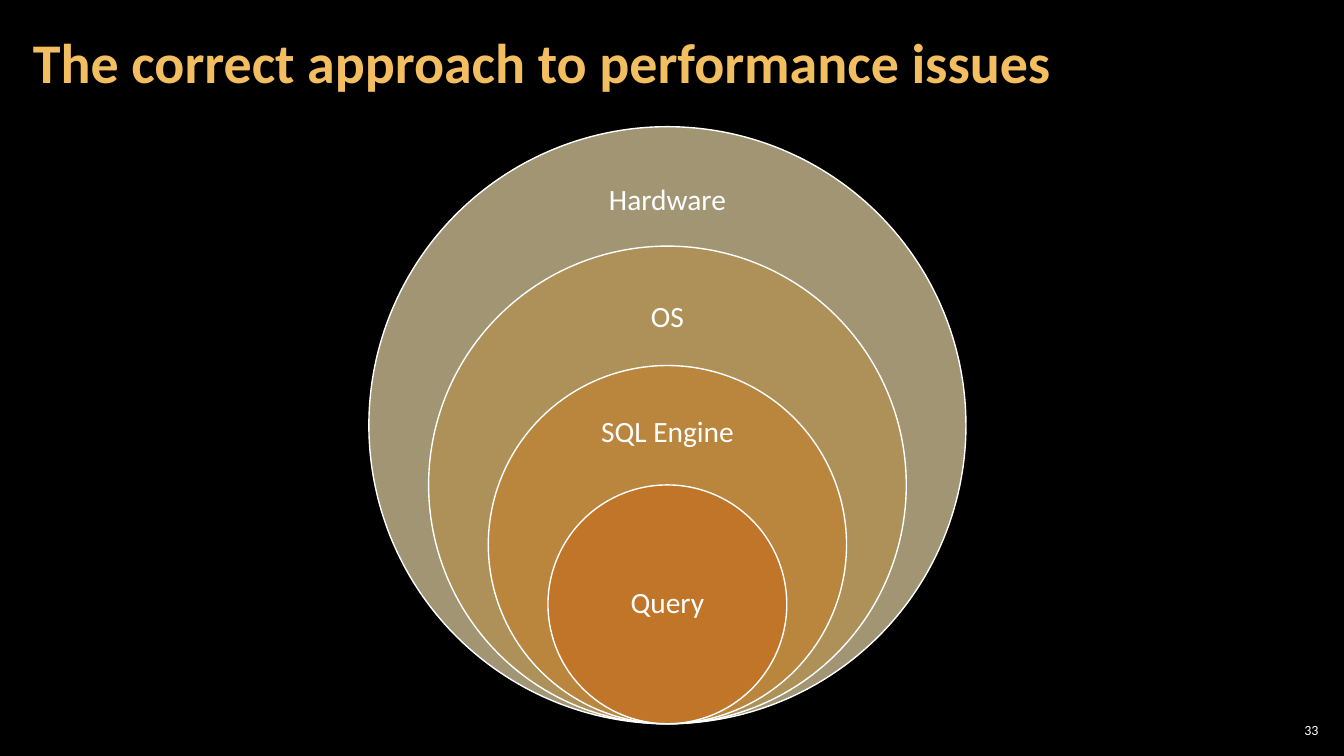
from pptx import Presentation
from pptx.dml.color import RGBColor
from pptx.enum.shapes import MSO_SHAPE as Shape
from pptx.enum.text import MSO_ANCHOR as Anchor, PP_ALIGN as Align
from pptx.util import Pt

COLORS = {
    "background": "000000",
    "title": "F3BE60",
    "white": "FFFFFF",
    "hardware": "A19574",
    "os": "AE9159",
    "server": "BA863E",
    "query": "C17529",
}

# Label, fill, then label top and label height as shares of the circle
LAYERS = [
    ("Hardware", "hardware", 0.05, 0.15),
    ("OS", "os", 0.06, 0.18),
    ("SQL Engine", "server", 0.075, 0.225),
    ("Query", "query", 0.25, 0.5),
]


def rgb(name):
    return RGBColor.from_string(COLORS[name])


def add_text(page, box, text, size, color="white", align=Align.LEFT,
             margins=(3, 3), spacing=None, bold=False):
    """Add one line of text, centred vertically in box (left, top, width, height)."""
    frame = page.shapes.add_textbox(*map(Pt, box)).text_frame
    frame.word_wrap = True
    frame.vertical_anchor = Anchor.MIDDLE
    frame.margin_left = frame.margin_right = Pt(margins[0])
    frame.margin_top = frame.margin_bottom = Pt(margins[1])
    para = frame.paragraphs[0]
    para.alignment = align
    para.line_spacing = spacing
    span = para.add_run()
    span.text = text
    span.font.name = "Calibri"
    span.font.size = Pt(size)
    span.font.bold = bold
    span.font.color.rgb = rgb(color)


def add_circle(page, left, top, size, fill):
    circle = page.shapes.add_shape(Shape.OVAL, Pt(left), Pt(top), Pt(size), Pt(size))
    circle.shadow.inherit = False
    circle.fill.solid()
    circle.fill.fore_color.rgb = rgb(fill)
    circle.line.color.rgb = rgb("white")
    circle.line.width = Pt(1)


def add_nested_circles(page, left, top, size):
    """Stack circles that share their lowest point, each a fifth of size smaller."""
    label_width = 0.28 * size
    center = left + size / 2
    for level, (label, fill, label_top, label_height) in enumerate(LAYERS):
        diameter = size * (1 - level / 5)
        circle_top = top + size - diameter
        add_circle(page, center - diameter / 2, circle_top, diameter, fill)
        label_box = (center - label_width / 2, circle_top + label_top * diameter,
                     label_width, label_height * diameter)
        add_text(page, label_box, label, 21, align=Align.CENTER,
                 margins=(11.5, 11.5), spacing=0.9)


def main():
    deck = Presentation()
    deck.slide_width, deck.slide_height = Pt(960), Pt(540)
    page = deck.slides.add_slide(deck.slide_layouts[6])
    page.background.fill.solid()
    page.background.fill.fore_color.rgb = rgb("background")

    add_text(page, (910.8, 514, 34, 15), "33", 10, align=Align.RIGHT)
    add_text(page, (15, 3, 754, 87), "The correct approach to performance issues", 40,
             color="title", margins=(8.5, 3), spacing=0.9, bold=True)
    add_nested_circles(page, 263.5, 90.5, 426.5)
    deck.save("out.pptx")


if __name__ == "__main__":
    main()
